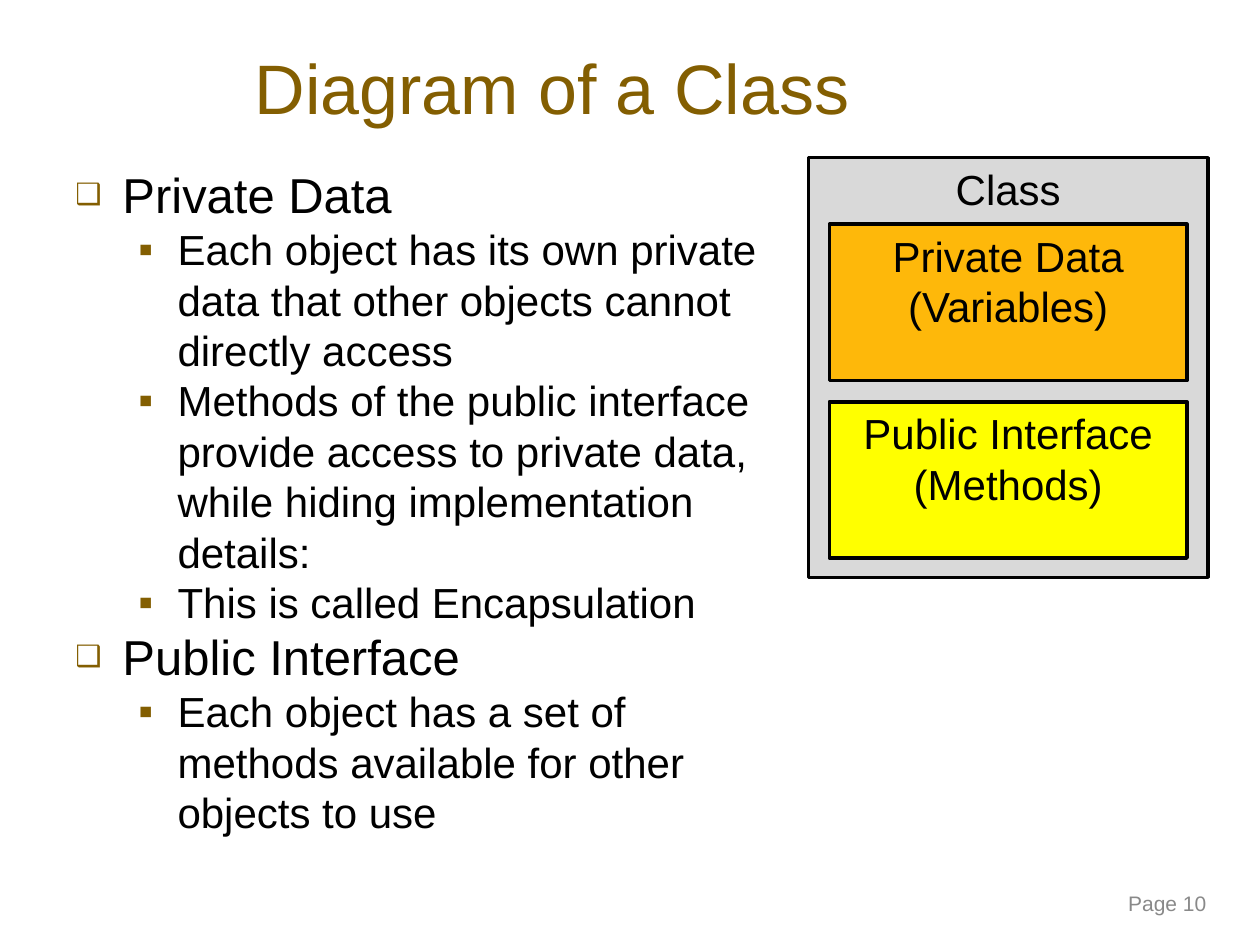
import pptx
import pptx.dml.color
import pptx.enum.shapes
import pptx.enum.text
import pptx.oxml.ns
import pptx.util
from lxml import etree

Cm = pptx.util.Cm
Pt = pptx.util.Pt
ALIGN = pptx.enum.text.PP_ALIGN
ANCHOR = pptx.enum.text.MSO_ANCHOR

THEME = {
    "font": "Arial",
    "accent": "835E01",
    "ink": "000000",
    "muted": "898989",
    "class": "D9D9D9",
    "data": "FEB80A",
    "interface": "FFFF00",
    "title_size": 40,
    "topic_size": 28,
    "text_size": 24,
    "page_size": 12,
}

TITLE = "Diagram of a Class"
PAGE_LABEL = "Page 10"
OUTLINE = [
    (0, "Private Data"),
    (1, "Each object has its own private data that other objects cannot directly access"),
    (1, "Methods of the public interface provide access to private data, "
        "while hiding implementation details:"),
    (1, "This is called Encapsulation"),
    (0, "Public Interface"),
    (1, "Each object has a set of methods available for other objects to use"),
]
LEVELS = [
    {"bullet": "❑", "bullet_size": 60, "left": 0.95, "hang": 0.95, "size": "topic_size"},
    {"bullet": "▪", "bullet_size": 100, "left": 2.06, "hang": 0.79, "size": "text_size"},
]
CLASS_LABEL = "Class"
CLASS_PARTS = [
    (["Private Data", "(Variables)"], "data"),
    (["Public Interface", "(Methods)"], "interface"),
]

CLASS_AREA = (16.3, 3.18, 8.05, 8.46)
PART_MARGIN = 0.42
PART_TOP = 4.52
PART_HEIGHT = 3.15
PART_GAP = 0.43


def color(name):
    return pptx.dml.color.RGBColor.from_string(THEME[name])


def add_text(para, text, size, ink, align=ALIGN.LEFT):
    para.alignment = align
    span = para.add_run()
    span.text = text
    values = {"name": THEME["font"], "size": Pt(THEME[size]), "bold": False}
    for key, value in values.items():
        setattr(span.font, key, value)
    span.font.color.rgb = color(ink)


def prepare_frame(box, anchor=ANCHOR.TOP):
    frame = box.text_frame
    values = {
        "word_wrap": True,
        "auto_size": pptx.enum.text.MSO_AUTO_SIZE.NONE,
        "vertical_anchor": anchor,
    }
    for key, value in values.items():
        setattr(frame, key, value)
    return frame


def next_para(frame, index):
    return frame.add_paragraph() if index else frame.paragraphs[0]


def add_bullet(para, style):
    props = para._p.get_or_add_pPr()
    props.set("marL", str(Cm(style["left"])))
    props.set("indent", str(-Cm(style["hang"])))
    name = pptx.oxml.ns.qn
    tint = etree.SubElement(props, name("a:buClr"))
    etree.SubElement(tint, name("a:srgbClr"), val=THEME["accent"])
    etree.SubElement(props, name("a:buSzPct"), val=str(style["bullet_size"] * 1000))
    etree.SubElement(props, name("a:buFont"), typeface=THEME["font"])
    etree.SubElement(props, name("a:buChar"), char=style["bullet"])


def add_title(page):
    title = page.shapes.title
    places = {"left": 4.88, "top": 0.76, "width": 19.68, "height": 1.98}
    for key, value in places.items():
        setattr(title, key, Cm(value))
    frame = prepare_frame(title, ANCHOR.MIDDLE)
    add_text(frame.paragraphs[0], TITLE, "title_size", "accent")


def add_outline(page):
    box = page.shapes.add_textbox(Cm(1.27), Cm(3.2), Cm(14.6), Cm(14.15))
    frame = prepare_frame(box)
    for index, (level, text) in enumerate(OUTLINE):
        para = next_para(frame, index)
        para.level = level
        add_bullet(para, LEVELS[level])
        add_text(para, text, LEVELS[level]["size"], "ink")


def add_page_label(page):
    box = page.shapes.add_textbox(Cm(20.12), Cm(17.78), Cm(4.45), Cm(0.84))
    frame = prepare_frame(box, ANCHOR.MIDDLE)
    add_text(frame.paragraphs[0], PAGE_LABEL, "page_size", "muted", ALIGN.RIGHT)


def add_block(group, area, lines, fill):
    kind = pptx.enum.shapes.MSO_SHAPE.RECTANGLE
    box = group.shapes.add_shape(kind, *map(Cm, area))
    box.shadow.inherit = False
    box.fill.solid()
    box.fill.fore_color.rgb = color(fill)
    box.line.color.rgb = color("ink")
    box.line.width = Pt(2)
    frame = prepare_frame(box)
    for index, text in enumerate(lines):
        add_text(next_para(frame, index), text, "text_size", "ink", ALIGN.CENTER)


def add_class_diagram(page):
    group = page.shapes.add_group_shape()
    add_block(group, CLASS_AREA, [CLASS_LABEL], "class")
    left = CLASS_AREA[0] + PART_MARGIN
    width = CLASS_AREA[2] - 2 * PART_MARGIN
    for index, (lines, fill) in enumerate(CLASS_PARTS):
        top = PART_TOP + index * (PART_HEIGHT + PART_GAP)
        add_block(group, (left, top, width, PART_HEIGHT), lines, fill)


def main():
    deck = pptx.Presentation()
    deck.slide_width = Cm(25.4)
    deck.slide_height = Cm(19.05)
    page = deck.slides.add_slide(deck.slide_layouts[5])
    add_title(page)
    add_outline(page)
    add_page_label(page)
    add_class_diagram(page)
    deck.save("out.pptx")


if __name__ == "__main__":
    main()
